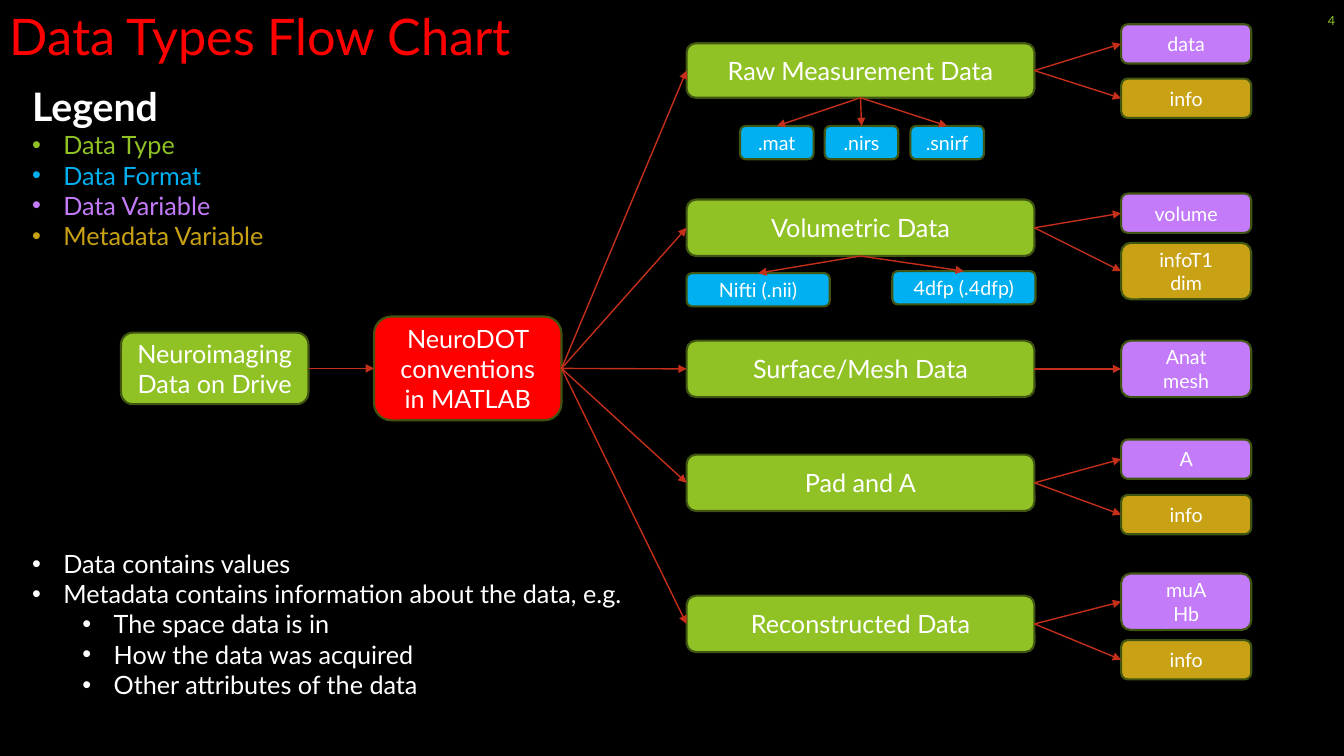
from dataclasses import dataclass

from lxml import etree
from pptx import Presentation
from pptx.dml.color import RGBColor
from pptx.enum.shapes import MSO_CONNECTOR, MSO_SHAPE
from pptx.enum.text import MSO_ANCHOR, PP_ALIGN
from pptx.oxml.ns import qn
from pptx.util import Emu, Pt

STRAIGHT = MSO_CONNECTOR.STRAIGHT
ROUNDED = MSO_SHAPE.ROUNDED_RECTANGLE
MIDDLE = MSO_ANCHOR.MIDDLE
TOP_ANCHOR = MSO_ANCHOR.TOP
LEFT_ALIGN, CENTER, RIGHT_ALIGN = PP_ALIGN.LEFT, PP_ALIGN.CENTER, PP_ALIGN.RIGHT
TOP, LEFT, BOTTOM, RIGHT = range(4)

FONT = "Lato"
EMU_PER_PX = 9144
COLORS = {
    "background": "000000",
    "text": "FFFFFF",
    "title": "FF0000",
    "process": "FF0000",
    "type": "90C226",
    "format": "00B0F0",
    "variable": "C37BF9",
    "metadata": "C8A114",
    "outline": "3F5511",
    "arrow": "C42F1A",
}
TYPE_LEFT, TYPE_WIDTH = 681, 345
VARIABLE_LEFT, VARIABLE_WIDTH = 1112, 129
FORMAT_HEIGHT = 33
BULLET_INDENT, LEVEL_INDENT = 31, 50


@dataclass(frozen=True)
class Node:
    text: str
    kind: str
    left: int
    top: int
    width: int
    height: int
    size: int = 14


@dataclass(frozen=True)
class Branch:
    node: Node
    formats: tuple[Node, ...]
    variables: tuple[Node, ...]


@dataclass(frozen=True)
class Line:
    text: str
    color: str = "text"
    size: int = 18
    bold: bool = False
    level: int = 0
    bullet: bool = True


def px(length: int) -> Emu:
    return Emu(length * EMU_PER_PX)


def rgb(name: str) -> RGBColor:
    return RGBColor.from_string(COLORS[name])


def data_type(text: str, top: int, height: int = 56) -> Node:
    return Node(text, "type", TYPE_LEFT, top, TYPE_WIDTH, height, 18)


def data_format(text: str, left: int, top: int, width: int) -> Node:
    return Node(text, "format", left, top, width, FORMAT_HEIGHT)


def variable(text: str, top: int, kind: str = "variable") -> Node:
    height = 56 if "\n" in text else 39
    return Node(text, kind, VARIABLE_LEFT, top, VARIABLE_WIDTH, height)


def metadata(text: str, top: int) -> Node:
    return variable(text, top, "metadata")


SOURCE = Node("Neuroimaging Data on Drive", "type", 120, 330, 186, 71, 18)
CONVENTIONS = Node("NeuroDOT conventions in MATLAB", "process", 371, 314, 186, 103, 18)
BRANCHES = (
    Branch(
        data_type("Raw Measurement Data", 43, 54),
        tuple(
            data_format(text, left, 125, 73)
            for text, left in ((".mat", 734), (".nirs", 818), (".snirf", 903))
        ),
        (variable("data", 24), metadata("info", 78)),
    ),
    Branch(
        data_type("Volumetric Data", 198),
        (
            data_format("Nifti (.nii)", 681, 271, 142),
            data_format("4dfp (.4dfp)", 885, 269, 142),
        ),
        (variable("volume", 192), metadata("infoT1\ndim", 241)),
    ),
    Branch(data_type("Surface/Mesh Data", 338), (), (variable("Anat\nmesh", 338),)),
    Branch(data_type("Pad and A", 451), (), (variable("A", 436), metadata("info", 491))),
    Branch(
        data_type("Reconstructed Data", 591),
        (),
        (variable("muA\nHb", 569), metadata("info", 635)),
    ),
)
TITLE = (Line("Data Types Flow Chart", "title", 36, bullet=False),)
PAGE_NUMBER = (Line("4", "type", 9, bullet=False),)
LEGEND = (
    Line("Legend", size=28, bold=True, bullet=False),
    Line("Data Type", "type"),
    Line("Data Format", "format"),
    Line("Data Variable", "variable"),
    Line("Metadata Variable", "metadata"),
)
NOTES = (
    Line("Data contains values"),
    Line("Metadata contains information about the data, e.g."),
    Line("The space data is in", level=1),
    Line("How the data was acquired", level=1),
    Line("Other attributes of the data", level=1),
)


def add_bullet(paragraph, level: int) -> None:
    paragraph.level = level
    properties = paragraph._p.get_or_add_pPr()
    properties.set("marL", str(px(BULLET_INDENT + level * LEVEL_INDENT)))
    properties.set("indent", str(px(-BULLET_INDENT)))
    etree.SubElement(properties, qn("a:buFont")).set("typeface", "Arial")
    etree.SubElement(properties, qn("a:buChar")).set("char", "•")


def write(frame, lines: tuple[Line, ...], align, anchor) -> None:
    frame.word_wrap = True
    frame.vertical_anchor = anchor
    frame.text = "\n".join(line.text for line in lines)
    for paragraph, line in zip(frame.paragraphs, lines):
        paragraph.alignment = align
        if line.bullet:
            add_bullet(paragraph, line.level)
        font = paragraph.font
        font.name, font.size, font.bold = FONT, Pt(line.size), line.bold
        font.color.rgb = rgb(line.color)


def add_text(slide, lines, left, top, width, height, align=LEFT_ALIGN, anchor=TOP_ANCHOR) -> None:
    box = slide.shapes.add_textbox(px(left), px(top), px(width), px(height))
    write(box.text_frame, lines, align, anchor)


def add_node(slide, node: Node):
    shape = slide.shapes.add_shape(
        ROUNDED, px(node.left), px(node.top), px(node.width), px(node.height)
    )
    shape.shadow.inherit = False
    shape.fill.solid()
    shape.fill.fore_color.rgb = rgb(node.kind)
    shape.line.color.rgb = rgb("outline")
    shape.line.width = Pt(1.5)
    lines = tuple(Line(text, size=node.size, bullet=False) for text in node.text.split("\n"))
    write(shape.text_frame, lines, CENTER, MIDDLE)
    return shape


def add_arrow(slide, start, start_side: int, end, end_side: int) -> None:
    arrow = slide.shapes.add_connector(STRAIGHT, 0, 0, 0, 0)
    arrow.begin_connect(start, start_side)
    arrow.end_connect(end, end_side)
    arrow.line.color.rgb = rgb("arrow")
    arrow.line.width = Pt(1)
    etree.SubElement(arrow.line._get_or_add_ln(), qn("a:tailEnd")).set("type", "triangle")
    etree.SubElement(arrow._element.spPr, qn("a:effectLst"))


def main() -> None:
    deck = Presentation()
    deck.slide_width, deck.slide_height = px(1333), px(750)
    slide = deck.slides.add_slide(deck.slide_layouts[6])
    slide.background.fill.solid()
    slide.background.fill.fore_color.rgb = rgb("background")

    add_text(slide, TITLE, 0, 0, 940, 144)
    add_text(slide, PAGE_NUMBER, 1259, 0, 75, 40, RIGHT_ALIGN, MIDDLE)
    add_text(slide, LEGEND, 22, 77, 270, 178)
    add_text(slide, NOTES, 22, 539, 636, 162)

    source = add_node(slide, SOURCE)
    conventions = add_node(slide, CONVENTIONS)
    add_arrow(slide, source, RIGHT, conventions, LEFT)
    for branch in BRANCHES:
        branch_box = add_node(slide, branch.node)
        add_arrow(slide, conventions, RIGHT, branch_box, LEFT)
        for node in branch.formats:
            add_arrow(slide, branch_box, BOTTOM, add_node(slide, node), TOP)
        for node in branch.variables:
            add_arrow(slide, branch_box, RIGHT, add_node(slide, node), LEFT)

    deck.save("out.pptx")


if __name__ == "__main__":
    main()
